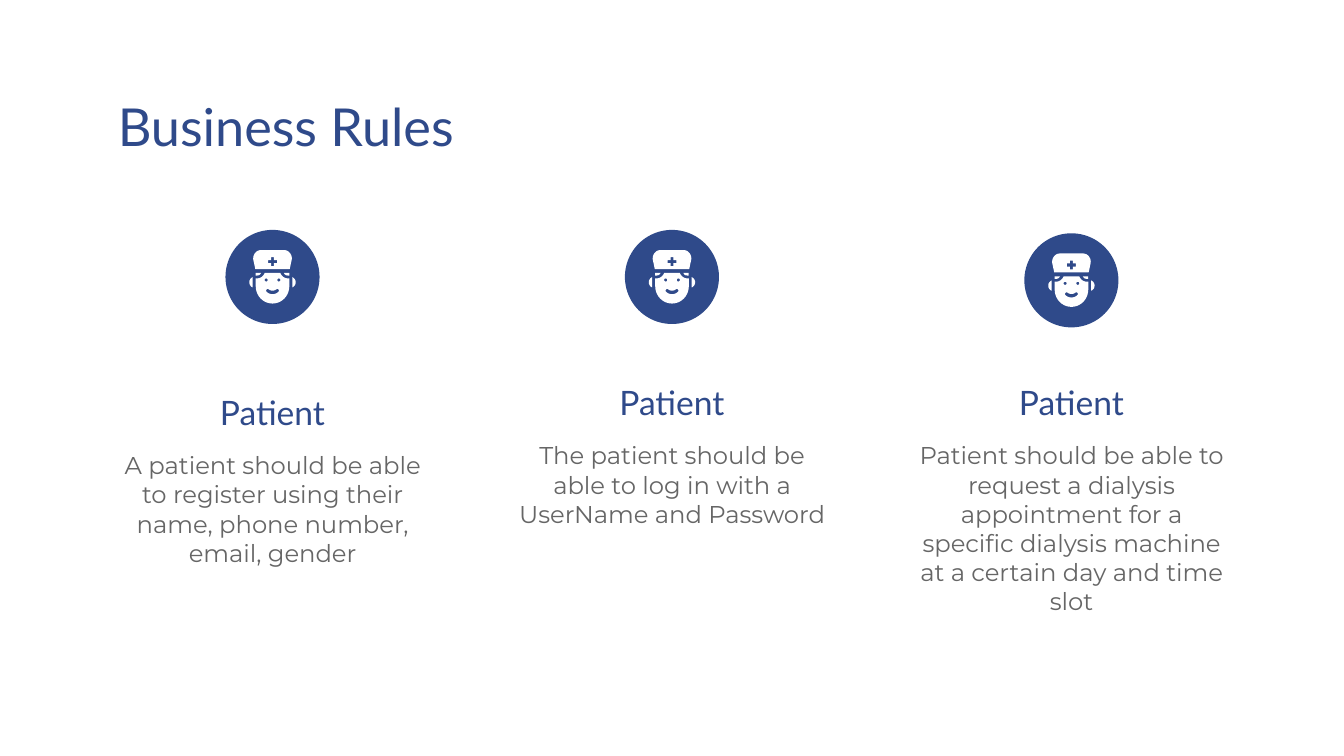
from dataclasses import dataclass

from pptx import Presentation
from pptx.dml.color import RGBColor
from pptx.enum.shapes import MSO_SHAPE
from pptx.enum.text import MSO_ANCHOR, PP_ALIGN
from pptx.util import Pt

LEFT, CENTER = PP_ALIGN.LEFT, PP_ALIGN.CENTER
TOP = MSO_ANCHOR.TOP
OVAL = MSO_SHAPE.OVAL


@dataclass(frozen=True)
class Theme:
    navy: RGBColor = RGBColor(0x2F, 0x4A, 0x8A)
    gray: RGBColor = RGBColor(0x66, 0x66, 0x66)
    white: RGBColor = RGBColor(0xFF, 0xFF, 0xFF)
    heading_font: str = "Lato"
    body_font: str = "Montserrat"
    title_size: float = 28
    heading_size: float = 18
    body_size: float = 13


# Icon outlines in points from the disc centre. A pair is a straight
# segment's end; six numbers are a cubic curve's two controls and end.
HAT = [(-6.1, -14.4), (-8.7, -14.4, -10.6, -12, -10.3, -9.4), (-9.2, -4.2),
       (9.2, -4.2), (10.3, -9.4), (10.6, -12, 8.7, -14.4, 6.1, -14.4)]
HAT_CROSS = [(-0.8, -10.6), (0.8, -10.6), (0.8, -9), (2.4, -9), (2.4, -7.4),
             (0.8, -7.4), (0.8, -5.8), (-0.8, -5.8), (-0.8, -7.4),
             (-2.4, -7.4), (-2.4, -9), (-0.8, -9)]
FACE = [(-4.2, -2.2), (-4.8, -0.6, -6.2, 0.7, -8.2, 0.7), (-9, 0.7), (-9, 5),
        (-9, 10, -5, 14.2, 0, 14.2), (5, 14.2, 9, 10, 9, 5), (9, 0.7),
        (8.2, 0.7), (6.2, 0.7, 4.8, -0.6, 4.2, -2.2)]
RIGHT_EYE = [(2.6, 1.6), (2.6, 0.5, 4.2, 0.5, 4.2, 1.6),
             (4.2, 2.7, 2.6, 2.7, 2.6, 1.6)]
SMILE = [(2.2, 6.5), (2.9, 6, 4, 7.2, 3.2, 7.9), (2.4, 8.7, 1.2, 9.2, 0, 9.2),
         (-1.2, 9.2, -2.4, 8.7, -3.2, 7.9), (-4, 7.2, -2.9, 6, -2.2, 6.5),
         (-1.6, 7, -0.8, 7.3, 0, 7.3), (0.8, 7.3, 1.6, 7, 2.2, 6.5)]
RIGHT_HAIR = [(6.1, -2.2), (6.6, -1.2, 7.2, -0.8, 8.2, -0.8), (9, -0.8),
              (9, -2.2)]
RIGHT_EAR = [(10.6, 0.1), (10.6, 5.6), (11.8, 5.1, 12.4, 4, 12.4, 2.8),
             (12.4, 1.6, 11.7, 0.6, 10.6, 0.1)]


def mirror(outline):
    return [tuple(-v if i % 2 == 0 else v for i, v in enumerate(segment))
            for segment in outline]


def flatten(outline, steps=10):
    """Turn the curves of an outline into short straight segments."""
    points = []
    for segment in outline:
        if len(segment) == 2:
            points.append(segment)
            continue
        x0, y0 = points[-1]
        x1, y1, x2, y2, x3, y3 = segment
        for step in range(1, steps + 1):
            t = step / steps
            a, b, c, d = (1 - t) ** 3, 3 * t * (1 - t) ** 2, 3 * t * t * (1 - t), t ** 3
            points.append((a * x0 + b * x1 + c * x2 + d * x3,
                           a * y0 + b * y1 + c * y2 + d * y3))
    return points


class SlideWriter:
    def __init__(self, slide, theme):
        self.slide = slide
        self.theme = theme

    def text(self, left, top, width, height, words, font, size, color,
             align=CENTER, space_after=0):
        box = self.slide.shapes.add_textbox(Pt(left), Pt(top), Pt(width), Pt(height))
        frame = box.text_frame
        frame.word_wrap = True
        frame.vertical_anchor = TOP
        frame.margin_left = frame.margin_right = Pt(7.2)
        frame.margin_top = frame.margin_bottom = Pt(7.2)
        paragraph = frame.paragraphs[0]
        paragraph.alignment = align
        paragraph.space_after = Pt(space_after)
        run = paragraph.add_run()
        run.text = words
        run.font.name = font
        run.font.size = Pt(size)
        run.font.color.rgb = color

    def paint(self, shape, color):
        shape.shadow.inherit = False
        shape.fill.solid()
        shape.fill.fore_color.rgb = color
        shape.line.fill.background()

    def disc(self, center_x, center_y, diameter):
        radius = diameter / 2
        shape = self.slide.shapes.add_shape(
            OVAL, Pt(center_x - radius), Pt(center_y - radius),
            Pt(diameter), Pt(diameter))
        self.paint(shape, self.theme.navy)

    def outline(self, center_x, center_y, *contours):
        """Draw one white shape; contours after the first are holes."""
        builder = None
        for contour in contours:
            points = [(Pt(center_x + x), Pt(center_y + y)) for x, y in flatten(contour)]
            if builder is None:
                builder = self.slide.shapes.build_freeform(*points[0])
            else:
                builder.move_to(*points[0])
            builder.add_line_segments(points[1:], close=True)
        self.paint(builder.convert_to_shape(), self.theme.white)

    def nurse_icon(self, center_x, center_y):
        self.disc(center_x, center_y, 50.4)
        for contours in ((HAT, HAT_CROSS),
                         (FACE, RIGHT_EYE, mirror(RIGHT_EYE), SMILE),
                         (RIGHT_HAIR,), (mirror(RIGHT_HAIR),),
                         (RIGHT_EAR,), (mirror(RIGHT_EAR),)):
            self.outline(center_x, center_y, *contours)

    def title(self, words):
        theme = self.theme
        self.text(56, 43.2, 608, 37, words, theme.heading_font,
                  theme.title_size, theme.navy, LEFT)

    def rule_card(self, center_x, icon_y, heading_top, heading, rule):
        theme = self.theme
        width = 179.2
        left = center_x - width / 2
        self.nurse_icon(center_x, icon_y)
        self.text(left, heading_top, width, 37, heading, theme.heading_font,
                  theme.heading_size, theme.navy)
        self.text(left, heading_top + 31.7, width, 60.5, rule, theme.body_font,
                  theme.body_size, theme.gray, space_after=12)


def main():
    deck = Presentation()
    deck.slide_width, deck.slide_height = Pt(720), Pt(405)
    writer = SlideWriter(deck.slides.add_slide(deck.slide_layouts[6]), Theme())
    writer.title("Business Rules")
    rules = [
        (148.4, 202.5, "A patient should be able to register using their name, "
                       "phone number, email, gender"),
        (148.4, 197.2, "The patient should be able to log in with a "
                       "UserName and Password"),
        (150.2, 197.2, "Patient should be able to request a dialysis appointment "
                       "for a specific dialysis machine at a certain day and time slot"),
    ]
    for column, (icon_y, heading_top, rule) in enumerate(rules):
        writer.rule_card(146 + 214 * column, icon_y, heading_top, "Patient", rule)
    deck.save("out.pptx")


if __name__ == "__main__":
    main()
